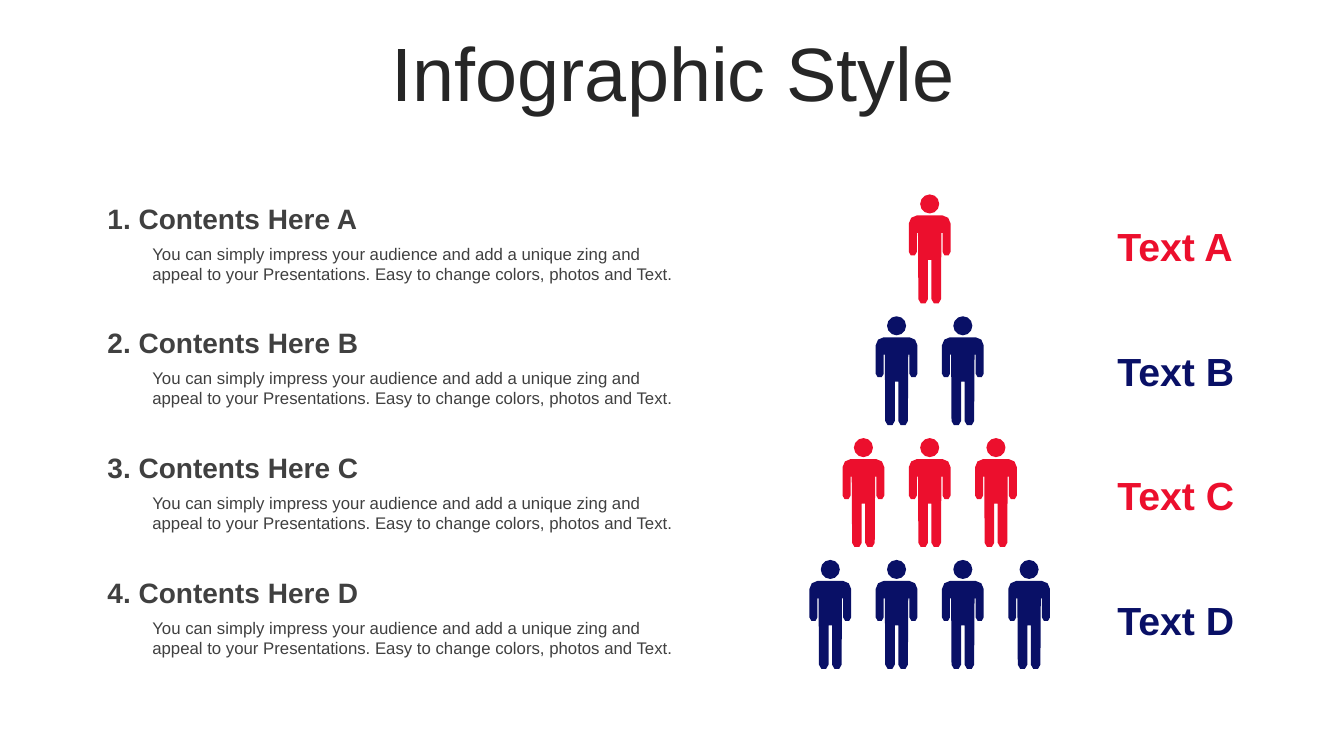
import math

import pptx
import pptx.dml.color
import pptx.enum.text
import pptx.util

Cm = pptx.util.Cm
FONT = "Arial"
COLORS = {"title": "262626", "body": "404040", "red": "EC0F2D", "navy": "091066"}
DESCRIPTION = (
    "You can simply impress your audience and add a unique zing and "
    "appeal to your Presentations. Easy to change colors, photos and Text."
)
LEVELS = [("A", "red"), ("B", "navy"), ("C", "red"), ("D", "navy")]
PERSON_WIDTH = 1.05
PERSON_PITCH = 1.67
CROWD_PITCH = 3.07
TEXT_PITCH = 3.14


def rgb(color):
    return pptx.dml.color.RGBColor.from_string(COLORS[color])


def style(paragraph, size, color, bold=False):
    font = paragraph.font
    font.name = FONT
    font.size = pptx.util.Pt(size)
    font.bold = bold
    font.color.rgb = rgb(color)


def add_text(slide, left, top, width, height, wording, size, color, bold=False):
    box = slide.shapes.add_textbox(Cm(left), Cm(top), Cm(width), Cm(height))
    frame = box.text_frame
    frame.word_wrap = True
    frame.auto_size = pptx.enum.text.MSO_AUTO_SIZE.SHAPE_TO_FIT_TEXT
    paragraph = frame.paragraphs[0]
    paragraph.text = wording
    style(paragraph, size, color, bold)
    return frame


def add_title(slide, left, top, width, height):
    title = slide.shapes.title
    title.left, title.top, title.width, title.height = map(Cm, (left, top, width, height))
    frame = title.text_frame
    frame.auto_size = pptx.enum.text.MSO_AUTO_SIZE.NONE
    frame.vertical_anchor = pptx.enum.text.MSO_ANCHOR.MIDDLE
    paragraph = frame.paragraphs[0]
    paragraph.text = "Infographic Style"
    paragraph.alignment = pptx.enum.text.PP_ALIGN.CENTER
    paragraph.line_spacing = 0.9
    style(paragraph, 54, "title")


def add_content(slide, left, top, width, heading):
    add_text(slide, left, top, width, 1.11, heading, 20, "body", True)
    indent = 1.17
    description = add_text(
        slide, left + indent, top + 1.06, width - indent, 1.28, DESCRIPTION, 12, "body"
    )
    description.margin_left = description.margin_right = Cm(0.21)


def arc(x, y, radius, start, end, steps):
    angles = [math.radians(start + (end - start) * i / steps) for i in range(steps + 1)]
    return [(x + radius * math.cos(a), y + radius * math.sin(a)) for a in angles]


def body_outline():
    right = [
        *arc(0.85, 0.73, 0.2, -90, 0, 2),
        *arc(0.95, 1.45, 0.1, 0, 180, 3),
        (0.85, 0.97),
        (0.82, 0.97),
        *arc(0.69, 2.64, 0.12, 0, 180, 3),
        (0.57, 1.65),
    ]
    return right + [(PERSON_WIDTH - x, y) for x, y in reversed(right)]


def add_person(slide, left, top, color):
    body, head = (
        [(x * 1000, y * 1000) for x, y in outline]
        for outline in (body_outline(), arc(PERSON_WIDTH / 2, 0.24, 0.24, 0, 360, 12))
    )
    builder = slide.shapes.build_freeform(*body[0], scale=Cm(0.001))
    builder.add_line_segments(body[1:], close=True)
    builder.move_to(*head[0])
    builder.add_line_segments(head[1:-1], close=True)
    person = builder.convert_to_shape(Cm(left), Cm(top))
    person.shadow.inherit = False
    person.fill.solid()
    person.fill.fore_color.rgb = rgb(color)
    person.line.fill.background()


def add_crowd(slide, center, top, count, color):
    left = center - ((count - 1) * PERSON_PITCH + PERSON_WIDTH) / 2
    for place in range(count):
        add_person(slide, left + place * PERSON_PITCH, top, color)


def main():
    deck = pptx.Presentation()
    deck.slide_width, deck.slide_height = Cm(33.87), Cm(19.05)
    slide = deck.slides.add_slide(deck.slide_layouts[5])
    add_title(slide, 0.89, 0.94, 32.16, 2.01)
    for row, (letter, color) in enumerate(LEVELS):
        text_top = 4.95 + row * TEXT_PITCH
        add_crowd(slide, 23.43, 4.9 + row * CROWD_PITCH, row + 1, color)
        add_content(slide, 2.46, text_top, 15.06, f"{row + 1}. Contents Here {letter}")
        add_text(slide, 27.91, text_top + 0.53, 3.63, 1.45, f"Text {letter}", 28, color, True)
    deck.save("out.pptx")


if __name__ == "__main__":
    main()
